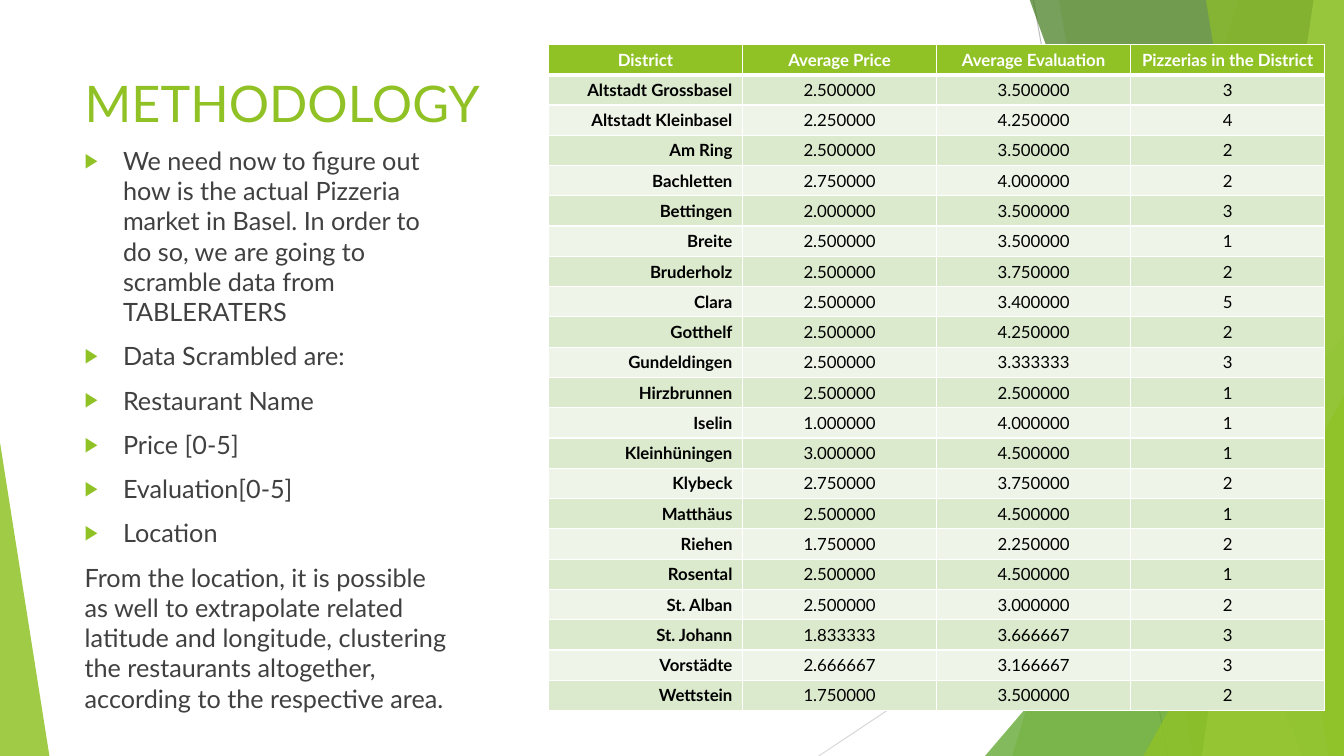
from lxml.etree import SubElement
from pptx import Presentation
from pptx.dml.color import RGBColor
from pptx.enum.shapes import MSO_CONNECTOR, MSO_SHAPE
from pptx.enum.text import MSO_ANCHOR, MSO_AUTO_SIZE, PP_ALIGN
from pptx.oxml.ns import qn
from pptx.util import Inches, Pt

FONT = "Lato"
GREEN, WHITE = "90C226", "FFFFFF"
SLIDE_BOX = (0, 0, 13.33, 7.5)
TITLE_BOX = (0.74, 0.67, 9.4, 1.44)
BODY_BOX = (0.74, 1.39, 3.79, 4.91)
TABLE_BOX = (5.44, 0.44, 7.7, 6.6)

RAYS = [(10.25, 0, 11.58, 7.5, "BFBFBF"), (13.33, 4.03, 8.12, 7.5, "D9D9D9")]
FACETS = [
    ("band", 12.28, 10.04, GREEN, 30),
    ("band", 10.5, 11.83, GREEN, 20),
    ("corner", 9.77, 3.33, "54A021", 72),
    ("band", 10.21, 12.91, "3F7819", 70),
    ("band", 13.03, 11.92, "C0E474", 70),
    ("band", 11.96, 13.18, GREEN, 65),
    ("corner", 11.34, 3.93, GREEN, 80),
]
BULLETS = [
    "We need now to figure out how is the actual Pizzeria market in Basel. "
    "In order to do so, we are going to scramble data from TABLERATERS",
    "Data Scrambled are:",
    "Restaurant Name",
    "Price [0-5]",
    "Evaluation[0-5]",
    "Location",
]
CONCLUSION = (
    "From the location, it is possible as well to extrapolate related latitude "
    "and longitude, clustering the restaurants altogether, according to the "
    "respective area."
)
HEADINGS = ["District", "Average Price", "Average Evaluation", "Pizzerias in the District"]
DISTRICTS = [
    ("Altstadt Grossbasel", 2.5, 3.5, 3),
    ("Altstadt Kleinbasel", 2.25, 4.25, 4),
    ("Am Ring", 2.5, 3.5, 2),
    ("Bachletten", 2.75, 4, 2),
    ("Bettingen", 2, 3.5, 3),
    ("Breite", 2.5, 3.5, 1),
    ("Bruderholz", 2.5, 3.75, 2),
    ("Clara", 2.5, 3.4, 5),
    ("Gotthelf", 2.5, 4.25, 2),
    ("Gundeldingen", 2.5, 3.333333, 3),
    ("Hirzbrunnen", 2.5, 2.5, 1),
    ("Iselin", 1, 4, 1),
    ("Kleinhüningen", 3, 4.5, 1),
    ("Klybeck", 2.75, 3.75, 2),
    ("Matthäus", 2.5, 4.5, 1),
    ("Riehen", 1.75, 2.25, 2),
    ("Rosental", 2.5, 4.5, 1),
    ("St. Alban", 2.5, 3, 2),
    ("St. Johann", 1.833333, 3.666667, 3),
    ("Vorstädte", 2.666667, 3.166667, 3),
    ("Wettstein", 1.75, 3.5, 2),
]


def color(value):
    """Turn a hex string into a colour."""
    return RGBColor.from_string(value)


def write(paragraph, text, size=18, ink="404040", bold=False, align=PP_ALIGN.LEFT, before=0):
    """Put formatted text into a paragraph."""
    paragraph.alignment = align
    paragraph.space_before = Pt(before)
    run = paragraph.add_run()
    run.text = text
    font = run.font
    font.name, font.size, font.bold = FONT, Pt(size), bold
    font.color.rgb = color(ink)


def paint(shape, fill, opacity):
    """Give a shape a translucent fill without line or shadow."""
    shape.shadow.inherit = False
    shape.fill.solid()
    shape.fill.fore_color.rgb = color(fill)
    shape.line.fill.background()
    tint = shape.element.spPr.find(qn("a:solidFill"))[0]
    SubElement(tint, qn("a:alpha"), val=str(opacity * 1000))


def add_corner(shapes, box, apex, fill, opacity):
    """Draw a right-angled triangle with its apex at one side."""
    corner = shapes.add_shape(MSO_SHAPE.ISOSCELES_TRIANGLE, *map(Inches, box))
    corner.adjustments[0] = apex
    paint(corner, fill, opacity)


def add_band(shapes, top_left, bottom_left, right, bottom, fill, opacity):
    """Draw a full-height band that ends at the right edge."""
    top = -0.01
    outline = shapes.build_freeform(Inches(top_left), Inches(top))
    corners = [(right, top), (right, bottom), (bottom_left, bottom)]
    outline.add_line_segments([(Inches(x), Inches(y)) for x, y in corners])
    paint(outline.convert_to_shape(), fill, opacity)


def add_backdrop(shapes, box):
    """Draw the rays and green facets around the slide."""
    left, top, width, height = box
    right, bottom = left + width, top + height
    for *ends, ink in RAYS:
        ray = shapes.add_connector(MSO_CONNECTOR.STRAIGHT, *map(Inches, ends))
        ray.line.color.rgb = color(ink)
        ray.line.width = Pt(0.75)
        SubElement(ray.element.spPr, qn("a:effectLst"))
    for kind, first, second, fill, opacity in FACETS:
        if kind == "band":
            add_band(shapes, first, second, right, bottom, fill, opacity)
        else:
            add_corner(shapes, (first, second, right - first, bottom - second), 1, fill, opacity)
    add_corner(shapes, (left, bottom - 3.11, 0.49, 3.11), 0, GREEN, 85)


def place(placeholder, box):
    """Move a placeholder to a box and to the front."""
    placeholder.left, placeholder.top, placeholder.width, placeholder.height = map(Inches, box)
    placeholder.element.getparent().append(placeholder.element)
    frame = placeholder.text_frame
    frame.word_wrap = True
    frame.auto_size = MSO_AUTO_SIZE.NONE
    frame.vertical_anchor = MSO_ANCHOR.TOP
    return frame


def set_bullet(paragraph, bulleted):
    """Give a paragraph a green arrow bullet, or none."""
    indent = Inches(0.38) if bulleted else 0
    properties = paragraph._p.get_or_add_pPr()
    properties.set("marL", str(indent))
    properties.set("indent", str(-indent))
    if bulleted:
        tint = SubElement(properties, qn("a:buClr"))
        SubElement(tint, qn("a:srgbClr"), val=GREEN)
        SubElement(properties, qn("a:buSzPct"), val="80000")
        SubElement(properties, qn("a:buChar"), char="▶")
    else:
        SubElement(properties, qn("a:buNone"))


def add_body(placeholder, box):
    """Write the bulleted explanation and its conclusion."""
    frame = place(placeholder, box)
    for index, text in enumerate(BULLETS + [CONCLUSION]):
        paragraph = frame.add_paragraph() if index else frame.paragraphs[0]
        set_bullet(paragraph, index < len(BULLETS))
        write(paragraph, text, before=10 if index else 0)


def style_cell(cell, fill, bottom_width):
    """Give a table cell its white borders and fill."""
    properties = cell._tc.get_or_add_tcPr()
    for side, width in (("L", 1), ("R", 1), ("T", 1), ("B", bottom_width)):
        border = SubElement(properties, qn(f"a:ln{side}"), w=str(Pt(width)))
        stroke = SubElement(border, qn("a:solidFill"))
        SubElement(stroke, qn("a:srgbClr"), val=WHITE)
    cell.fill.solid()
    cell.fill.fore_color.rgb = color(fill)
    cell.vertical_anchor = MSO_ANCHOR.MIDDLE


def add_district_table(shapes, box):
    """Add the pizzeria figures for each district."""
    rows = [HEADINGS] + [
        (name, f"{price:.6f}", f"{evaluation:.6f}", str(count))
        for name, price, evaluation, count in DISTRICTS
    ]
    table = shapes.add_table(len(rows), len(HEADINGS), *map(Inches, box)).table
    for i, row in enumerate(rows):
        header = i == 0
        fill = GREEN if header else ("EEF4E8", "DBE9CD")[i % 2]
        for j, text in enumerate(row):
            cell = table.cell(i, j)
            style_cell(cell, fill, 3 if header else 1)
            label = j == 0 and not header
            write(cell.text_frame.paragraphs[0], text, size=12,
                  ink=WHITE if header else "000000", bold=header or label,
                  align=PP_ALIGN.RIGHT if label else PP_ALIGN.CENTER)


def add_methodology_slide(deck):
    """Build the methodology slide."""
    slide = deck.slides.add_slide(deck.slide_layouts[1])
    title, body = slide.placeholders
    add_backdrop(slide.shapes, SLIDE_BOX)
    write(place(title, TITLE_BOX).paragraphs[0], "METHODOLOGY", size=36, ink=GREEN)
    add_district_table(slide.shapes, TABLE_BOX)
    add_body(body, BODY_BOX)


def main():
    """Create and save the presentation."""
    deck = Presentation()
    deck.slide_width, deck.slide_height = map(Inches, SLIDE_BOX[2:])
    add_methodology_slide(deck)
    deck.save("out.pptx")


if __name__ == "__main__":
    main()
